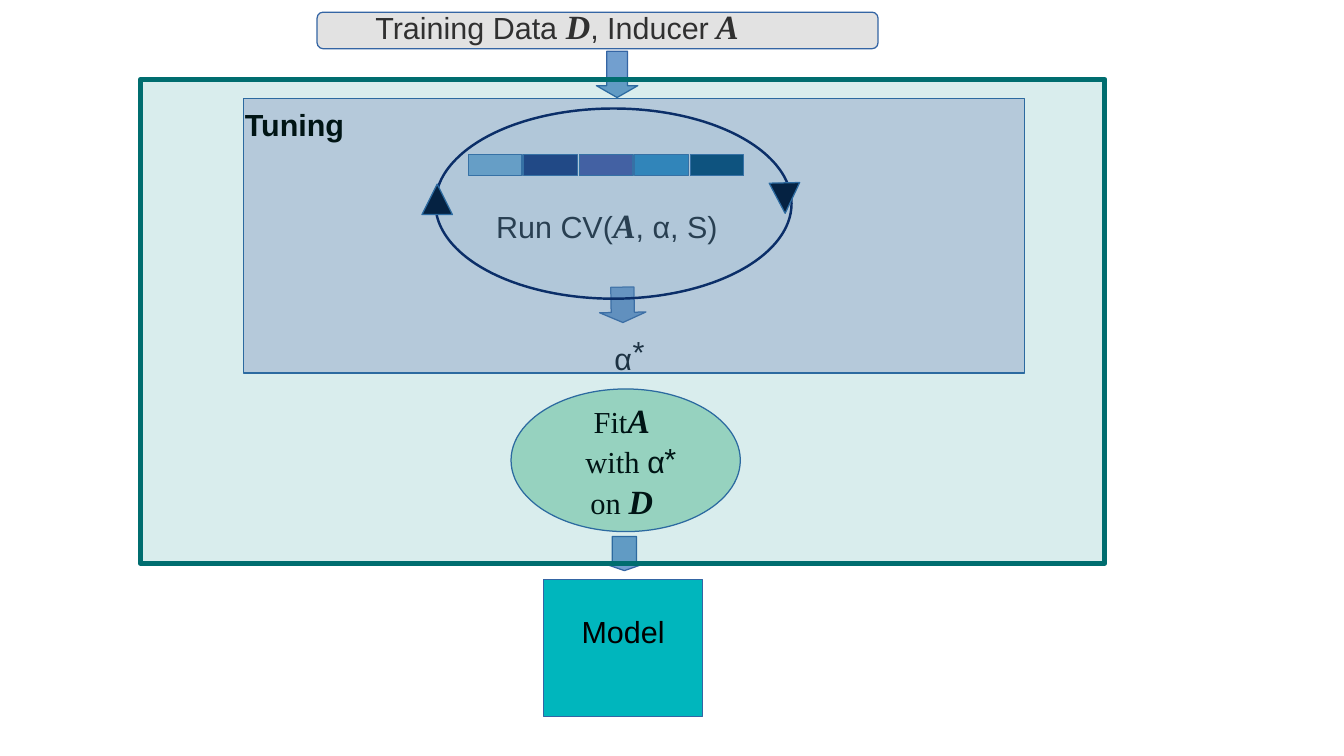
from lxml.etree import SubElement
from pptx import Presentation
from pptx.dml.color import RGBColor
from pptx.enum.shapes import MSO_SHAPE
from pptx.enum.text import MSO_ANCHOR, PP_ALIGN
from pptx.oxml.ns import qn
from pptx.util import Inches, Pt

SANS, SERIF = "Arial", "Times New Roman"
EDGE = "3465A4"
ARROW = "729FCF"
MARKER = "071136"


def paint(color_format, color):
    color_format.rgb = RGBColor.from_string(color)


def add_box(page, kind, place, color, opacity=100, edge=EDGE, weight=0,
            rotation=0, head=None):
    """Add a filled shape; opacity is a percentage, head an arrowhead length."""
    box = page.shapes.add_shape(kind, *map(Inches, place))
    box.shadow.inherit = False
    box.rotation = rotation
    box.fill.solid()
    paint(box.fill.fore_color, color)
    if opacity < 100:
        tint = box.fill._xPr.find(qn("a:solidFill"))[0]
        SubElement(tint, qn("a:alpha"), val=str(opacity * 1000))
    paint(box.line.color, edge)
    box.line.width = Pt(weight)
    if head is not None:
        box.adjustments[0] = 0.5
        box.adjustments[1] = head
    return box


def symbol(letter):
    """Bold italic letter that stands for a data set or an inducer."""
    return letter, SERIF, 20, True


def words(text, face=SANS):
    return text, face, 18, False


def write(frame, lines, align=PP_ALIGN.LEFT):
    for index, spans in enumerate(lines):
        para = frame.add_paragraph() if index else frame.paragraphs[0]
        para.alignment = align
        paint(para.font.color, "000000")
        for text, face, size, strong in spans:
            span = para.add_run()
            span.text = text
            span.font.name = face
            span.font.size = Pt(size)
            span.font.bold = span.font.italic = strong
            paint(span.font.color, "000000")


def add_label(page, place, *spans):
    label = page.shapes.add_textbox(*map(Inches, place))
    label.text_frame.word_wrap = True
    write(label.text_frame, [spans])
    return label


def add_caption(box, lines, bottom=0.05):
    """Centre lines of text inside a shape."""
    frame = box.text_frame
    frame.word_wrap = False
    frame.vertical_anchor = MSO_ANCHOR.MIDDLE
    frame.margin_bottom = Inches(bottom)
    write(frame, lines, PP_ALIGN.CENTER)


def add_results(page):
    # Final fit, best setting and model
    fit = add_box(page, MSO_SHAPE.OVAL, (4.19, 3.19, 1.88, 1.17), "65C295", 50)
    add_caption(fit, [
        [words("Fit", SERIF), symbol("A"), words(" ", SERIF)],
        [words(" with ", SERIF), words("α"), symbol(" ")],
        [words("on ", SERIF), symbol("D"), words(" ", SERIF)],
    ])
    model = add_box(page, MSO_SHAPE.RECTANGLE, (4.46, 4.75, 1.3, 1.13), "00B6BD")
    add_caption(model, [[words("Model")]], bottom=0.33)
    add_label(page, (4.94, 2.74, 0.44, 0.38), words("α"))
    for left, top in ((5.09, 2.68), (5.35, 3.56)):
        add_label(page, (left, top, 0.3, 0.38), words("*"))


def add_input(page):
    # Training data and inducer
    add_label(page, (2.98, 0, 4.16, 0.5), words("Training Data "), symbol("D"),
              words(", Inducer"), symbol(" A"))
    add_box(page, MSO_SHAPE.FLOWCHART_ALTERNATE_PROCESS, (2.6, 0.1, 4.6, 0.3),
            "A0A0A2", 30)


def add_tuning(page):
    # Tuning panel
    add_label(page, (3.97, 1.63, 2.14, 0.5), words("Run CV("), symbol("A"),
              words(", α, S)"))
    add_box(page, MSO_SHAPE.RIGHT_ARROW, (4.96, 2.31, 0.29, 0.38), ARROW,
            rotation=89, head=0.286)
    add_box(page, MSO_SHAPE.RECTANGLE, (2, 0.81, 6.4, 2.25), "7477B8", 30)
    title = add_label(page, (1.91, 0.82, 1.2, 0.38), words("Tuning"))
    title.text_frame.paragraphs[0].runs[0].font.bold = True
    add_box(page, MSO_SHAPE.DOWN_ARROW, (4.89, 0.42, 0.34, 0.38), ARROW, head=0.286)

    # Cross-validation folds
    folds = ((ARROW, 100), ("182F7C", 100), ("454FA1", 100), ("1B75BC", 90),
             ("003D73", 100))
    for index, (color, opacity) in enumerate(folds):
        place = (3.84 + 0.455 * index, 1.27, 0.44, 0.17)
        add_box(page, MSO_SHAPE.RECTANGLE, place, color, opacity)

    # Loop with direction markers
    add_box(page, MSO_SHAPE.OVAL, (3.57, 0.89, 2.92, 1.56), "ADC5E7", 10,
            "0D1F63", 1.45)
    for left, top, rotation in ((3.46, 1.51, 0), (6.31, 1.5, 178.8)):
        add_box(page, MSO_SHAPE.ISOSCELES_TRIANGLE, (left, top, 0.25, 0.25),
                MARKER, rotation=rotation)


def add_frame(page):
    # Arrow to the model and outer frame
    add_box(page, MSO_SHAPE.DOWN_ARROW, (4.92, 4.4, 0.4, 0.28), ARROW, head=0.25)
    add_box(page, MSO_SHAPE.RECTANGLE, (1.15, 0.65, 7.91, 3.97), "00888A", 15,
            "006D6F", 2.89)


def main():
    deck = Presentation()
    deck.slide_width, deck.slide_height = Inches(11.02), Inches(6.2)
    page = deck.slides.add_slide(deck.slide_layouts[6])
    add_results(page)
    add_input(page)
    add_tuning(page)
    add_frame(page)
    deck.save("out.pptx")


if __name__ == "__main__":
    main()
